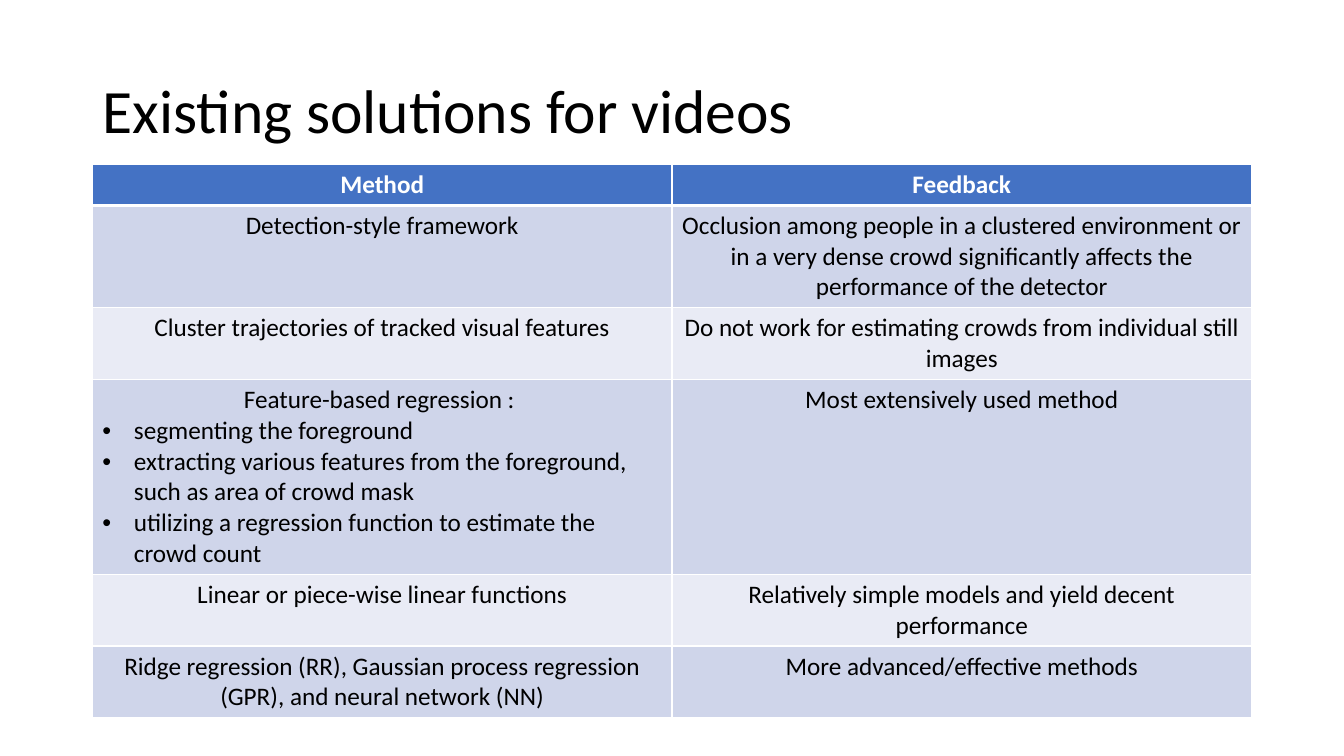
from lxml import etree
from pptx import Presentation
from pptx import util as u
from pptx.dml import color
from pptx.enum import text
from pptx.oxml import ns

COLOURS = {
    "header": "4472C4",
    "odd": "CFD5EA",
    "even": "E9EBF5",
    "white": "FFFFFF",
    "black": "000000",
}
FONT = "Calibri"
LINE_HEIGHT = 22
CELL_PADDING = 7.2
INDENT = 22.5

ROWS = [
    (1, ["Method"], "Feedback"),
    (3, ["Detection-style framework"],
     "Occlusion among people in a clustered environment or in a very dense crowd "
     "significantly affects the performance of the detector"),
    (2, ["Cluster trajectories of tracked visual features"],
     "Do not work for estimating crowds from individual still images"),
    (6, ["Feature-based regression : ",
         "segmenting the foreground",
         "extracting various features from the foreground, such as area of crowd mask",
         "utilizing a regression function to estimate the crowd count"],
     "Most extensively used method"),
    (2, ["Linear or piece-wise linear functions"],
     "Relatively simple models and yield decent performance"),
    (2, ["Ridge regression (RR), Gaussian process regression (GPR), and neural network (NN)"],
     "More advanced/effective methods"),
]


def rgb(name):
    return color.RGBColor.from_string(COLOURS[name])


def apply(target, values):
    for name, value in values.items():
        setattr(target, name, value)


def write(para, wording, size, colour, bold=False):
    span = para.add_run()
    span.text = wording
    apply(span.font, {"name": FONT, "size": u.Pt(size), "bold": bold})
    span.font.color.rgb = rgb(colour)


def add_bullet(para):
    properties = para._p.get_or_add_pPr()
    properties.set("marL", str(u.Pt(INDENT)))
    properties.set("indent", str(-u.Pt(INDENT)))
    etree.SubElement(properties, ns.qn("a:buFont"), typeface="Arial")
    etree.SubElement(properties, ns.qn("a:buChar"), char="•")


def add_borders(cell, widths):
    properties = cell._tc.get_or_add_tcPr()
    for side, width in zip("LRTB", widths):
        line = etree.SubElement(properties, ns.qn(f"a:ln{side}"), w=str(u.Pt(width)))
        fill = etree.SubElement(line, ns.qn("a:solidFill"))
        etree.SubElement(fill, ns.qn("a:srgbClr"), val=COLOURS["white"])


def fill_cell(cell, paragraphs, row):
    add_borders(cell, (1, 1, 3 if row == 1 else 1, 3 if row == 0 else 1))
    cell.fill.solid()
    cell.fill.fore_color.rgb = rgb("header" if row == 0 else "odd" if row % 2 else "even")
    for index, wording in enumerate(paragraphs):
        frame = cell.text_frame
        para = frame.add_paragraph() if index else frame.paragraphs[0]
        if index:
            add_bullet(para)
        para.alignment = text.PP_ALIGN.LEFT if index else text.PP_ALIGN.CENTER
        write(para, wording, 18, "black" if row else "white", bold=row == 0)


def place_title(page, left, top, width, height):
    title = page.shapes.title
    apply(title, {"left": u.Pt(left), "top": u.Pt(top),
                  "width": u.Pt(width), "height": u.Pt(height)})
    apply(title.text_frame, {"word_wrap": True, "auto_size": text.MSO_AUTO_SIZE.NONE,
                             "vertical_anchor": text.MSO_ANCHOR.MIDDLE})
    para = title.text_frame.paragraphs[0]
    apply(para, {"alignment": text.PP_ALIGN.LEFT, "line_spacing": 0.9})
    write(para, "Existing solutions for videos", 44, "black")


def place_methods(page, left, top, width):
    heights = [lines * LINE_HEIGHT + CELL_PADDING for lines, _, _ in ROWS]
    table = page.shapes.add_table(len(ROWS), 2, u.Pt(left), u.Pt(top),
                                  u.Pt(width), u.Pt(sum(heights))).table
    for row, (_, method, feedback) in enumerate(ROWS):
        table.rows[row].height = u.Pt(heights[row])
        fill_cell(table.cell(row, 0), method, row)
        fill_cell(table.cell(row, 1), [feedback], row)


def main():
    deck = Presentation()
    apply(deck, {"slide_width": u.Pt(960), "slide_height": u.Pt(540)})
    page = deck.slides.add_slide(deck.slide_layouts[5])
    place_title(page, 66, 28.75, 828, 104.4)
    place_methods(page, 66, 117.5, 828)
    deck.save("out.pptx")


if __name__ == "__main__":
    main()
